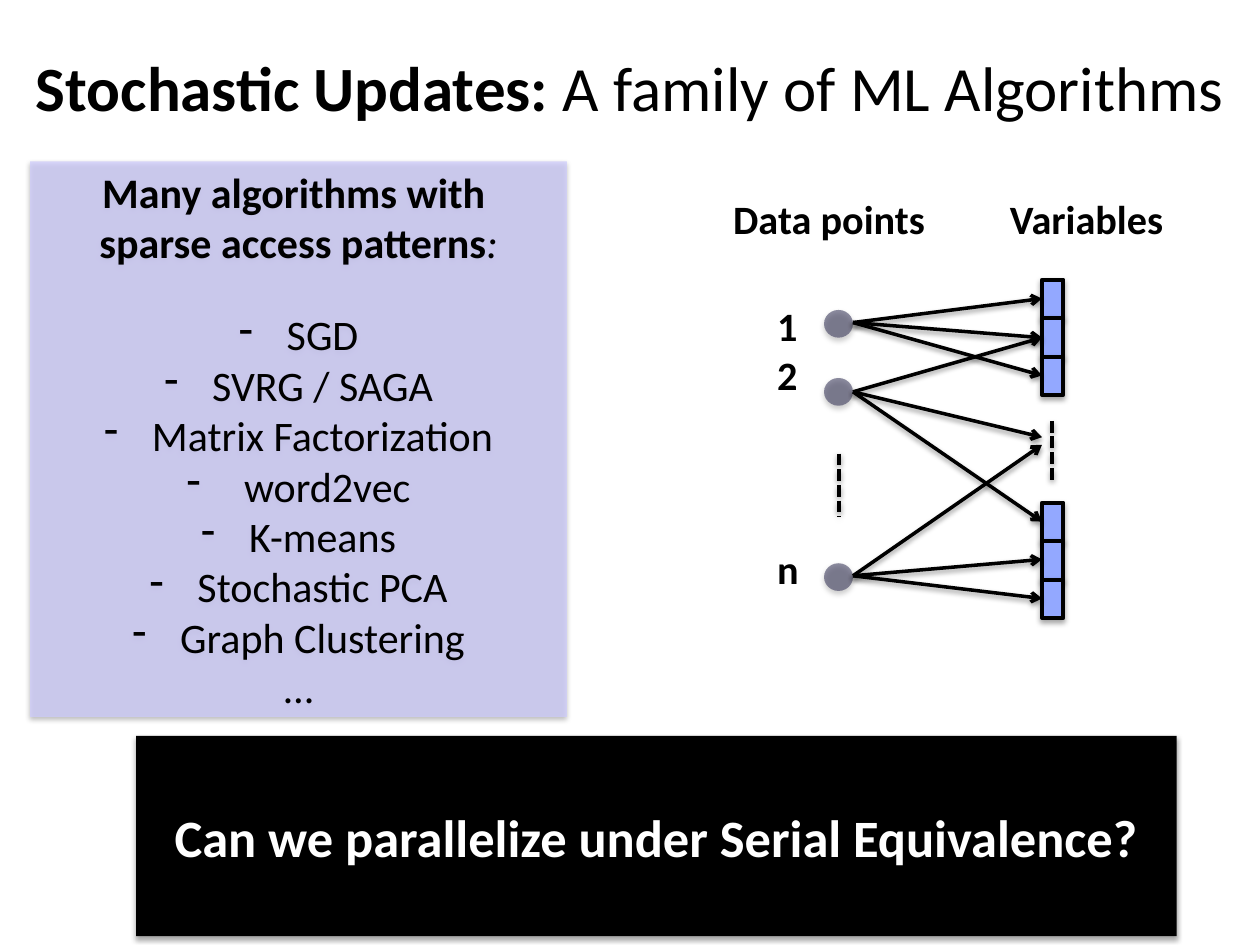
from pptx import Presentation
from pptx.dml.color import RGBColor
from pptx.enum.dml import MSO_LINE
from pptx.enum.shapes import MSO_CONNECTOR, MSO_SHAPE
from pptx.enum.text import MSO_ANCHOR, PP_ALIGN
from pptx.oxml import parse_xml
from pptx.oxml.ns import nsdecls, qn
from pptx.util import Inches, Pt
from lxml import etree

RECT, OVAL = MSO_SHAPE.RECTANGLE, MSO_SHAPE.OVAL
STRAIGHT, DASH = MSO_CONNECTOR.STRAIGHT, MSO_LINE.SQUARE_DOT
TOP, MIDDLE = MSO_ANCHOR.TOP, MSO_ANCHOR.MIDDLE
LEFT, CENTER = PP_ALIGN.LEFT, PP_ALIGN.CENTER

THEME = {
    "font": "Calibri",
    "ink": "000000", "paper": "FFFFFF",
    "node": "373659", "cell": "93A8FF", "panel": "CECCFD",
    "title": 36, "question": 30, "list": 24, "label": 23,
}

TITLE = [("Stochastic Updates: ", {"bold": True}),
         ("A family of ML Algorithms", {"bold": False})]
HEADING = [[("Many algorithms with ", {"bold": True})],
           [("sparse access patterns", {"bold": True}),
            (":", {"bold": False, "italic": True})]]
ALGORITHMS = ["SGD", "SVRG / SAGA", "Matrix Factorization", " word2vec",
              "K-means", "Stochastic PCA", "Graph Clustering"]
QUESTION = "Can we parallelize under Serial Equivalence?"

LABELS = [("Data points", 5.72, 1.49, LEFT), ("Variables", 7.58, 1.49, CENTER),
          ("1", 6.07, 2.34, LEFT), ("2", 6.07, 2.73, LEFT), ("n", 6.07, 4.27, LEFT)]
NODE_X, NODE_W, NODE_H = 6.54, 0.23, 0.22
NODE_TOPS = [2.46, 3, 4.47]
CELL_X, CELL_W, CELL_H = 8.27, 0.17, 0.305
STACK_TOPS = [2.22, 3.99]
CELLS_PER_STACK = 3
EDGES = [(2.56, [2.37, 2.68, 2.98]),
         (3.11, [2.68, 4.14, 3.47]),
         (4.57, [3.53, 4.44, 4.75])]
GAPS = [(6.66, 3.6, 4.1), (8.35, 3.34, 3.83)]


def color(name):
    return RGBColor.from_string(THEME[name])


def add_shadow(sp, alpha, dist):
    sp._element.spPr.append(parse_xml(
        f'<a:effectLst {nsdecls("a")}><a:outerShdw blurRad="{Pt(3.1)}" '
        f'dist="{Pt(dist)}" dir="5400000" rotWithShape="0"><a:srgbClr val="000000">'
        f'<a:alpha val="{alpha}000"/></a:srgbClr></a:outerShdw></a:effectLst>'))


def add_box(s, kind, at, fill, alpha=None, outline=None):
    sp = s.shapes.add_shape(kind, *map(Inches, at))
    sp.fill.solid()
    sp.fill.fore_color.rgb = color(fill)
    if alpha:
        clr = sp._element.spPr.find(".//" + qn("a:srgbClr"))
        etree.SubElement(clr, qn("a:alpha"), val=f"{alpha}000")
    if outline:
        sp.line.color.rgb = color("ink")
        sp.line.width = Pt(outline)
    else:
        sp.line.fill.background()
    add_shadow(sp, 35, 1.8)
    return sp


def add_line(s, start, end, width, dash=None, arrow=False):
    ln = s.shapes.add_connector(STRAIGHT, *map(Inches, start + end)).line
    cx = s.shapes[-1]
    ln.color.rgb = color("ink")
    ln.width = Pt(width)
    if dash:
        ln.dash_style = dash
    if arrow:
        etree.SubElement(cx._element.spPr.find(qn("a:ln")), qn("a:tailEnd"), type="arrow")
    add_shadow(cx, 38, 1.6)


def write(sp, paragraphs, size, ink="ink", align=CENTER, anchor=MIDDLE):
    tf = sp.text_frame
    tf.word_wrap = True
    tf.vertical_anchor = anchor
    for i, runs in enumerate(paragraphs):
        p = tf.paragraphs[0] if i == 0 else tf.add_paragraph()
        p.alignment = align
        for text, style in runs:
            r = p.add_run()
            r.text = text
            r.font.color.rgb = color(ink)
            formats = {"name": THEME["font"], "size": Pt(THEME[size]), **style}
            for key, value in formats.items():
                setattr(r.font, key, value)
    return tf.paragraphs


def add_text(s, at, runs, size, **layout):
    write(s.shapes.add_textbox(*map(Inches, at)), [runs], size, **layout)


def draw_graph(s):
    for top in NODE_TOPS:
        add_box(s, OVAL, (NODE_X, top, NODE_W, NODE_H), "node", alpha=56)
    for top in STACK_TOPS:
        for i in range(CELLS_PER_STACK):
            add_box(s, RECT, (CELL_X, top + i * CELL_H, CELL_W, CELL_H), "cell", outline=2.25)
    for start, ends in EDGES:
        for end in ends:
            add_line(s, (NODE_X + NODE_W, start), (CELL_X, end), 2, arrow=True)
    for x, top, bottom in GAPS:
        add_line(s, (x, top), (x, bottom), 2.25, dash=DASH)
    for text, x, y, align in LABELS:
        add_text(s, (x, y, 2.09, 0.49), [(text, {"bold": True})], "label",
                 align=align, anchor=TOP)


def draw_panel(s):
    sp = add_box(s, RECT, (0.24, 1.28, 4.26, 4.41), "panel", alpha=73)
    items = [[(name, {})] for name in ALGORITHMS]
    paragraphs = write(sp, HEADING + items + [[("…", {})]], "list")
    bullets = paragraphs[len(HEADING):-1]
    for p in bullets:
        pPr = p._p.get_or_add_pPr()
        pPr.set("marL", str(Inches(0.38)))
        pPr.set("indent", str(-Inches(0.38)))
        etree.SubElement(pPr, qn("a:buFontTx"))
        etree.SubElement(pPr, qn("a:buChar"), char="-")
    bullets[0].space_before = Pt(24)


def main():
    prs = Presentation()
    prs.slide_width, prs.slide_height = Inches(10), Inches(7.5)
    s = prs.slides.add_slide(prs.slide_layouts[6])
    draw_graph(s)
    add_text(s, (0, 0, 10, 1.37), TITLE, "title")
    draw_panel(s)
    banner = add_box(s, RECT, (1.08, 5.84, 8.26, 1.59), "ink")
    write(banner, [[(QUESTION, {"bold": True})]], "question", ink="paper")
    prs.save("out.pptx")


if __name__ == "__main__":
    main()
